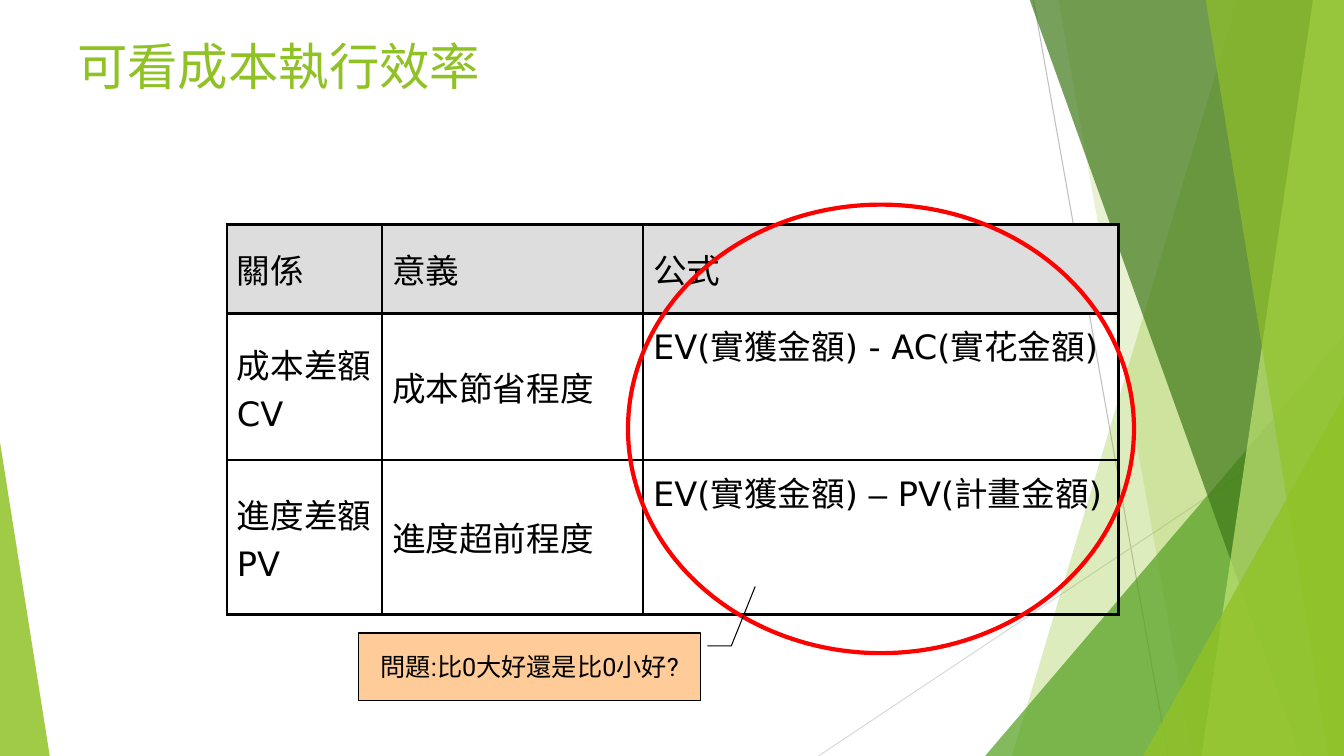
from lxml import etree
from pptx import Presentation, util as u
from pptx.dml.color import RGBColor
from pptx.enum import shapes, text
from pptx.oxml import parse_xml
from pptx.oxml.ns import nsdecls, qn

GREEN, BLACK = "90C226", "000000"
BODY, HEAD = "DejaVu Sans", "Roboto"


def rgb(value):
    return RGBColor.from_string(value)


def add_text(p, content, size=24, font=BODY, color=BLACK):
    r = p.add_run()
    r.text = content
    r.font.size, r.font.name = u.Pt(size), font
    r.font.color.rgb = rgb(color)


class Deck:
    """Holds the current slide and draws on it in percent of its size."""

    def __init__(self):
        self.prs = Presentation()
        self.prs.slide_width, self.prs.slide_height = u.Inches(13.333), u.Inches(7.5)
        self.s = self.prs.slides.add_slide(self.prs.slide_layouts[6])

    def x(self, share):
        return u.Emu(round(self.prs.slide_width * share / 100))

    def y(self, share):
        return u.Emu(round(self.prs.slide_height * share / 100))

    def box(self, left, top, width, height):
        return self.x(left), self.y(top), self.x(width), self.y(height)

    def paint(self, sp, fill=None, alpha=100, line=None, width=0.75):
        sp.shadow.inherit = False
        if fill:
            sp.fill.solid()
            sp.fill.fore_color.rgb = rgb(fill)
            if alpha < 100:
                color = sp.fill._xPr.find(".//" + qn("a:srgbClr"))
                etree.SubElement(color, qn("a:alpha")).set("val", str(alpha * 1000))
        else:
            sp.fill.background()
        if line:
            sp.line.color.rgb = rgb(line)
            sp.line.width = u.Pt(width)
        else:
            sp.line.fill.background()

    def shape(self, kind, place, adj=(), **style):
        sp = self.s.shapes.add_shape(kind, *self.box(*place))
        for i, value in enumerate(adj):
            sp.adjustments[i] = value
        self.paint(sp, **style)
        return sp

    def ribbon(self, top, bottom, fill, alpha):
        fb = self.s.shapes.build_freeform(self.x(top), self.y(-0.1))
        points = [(100, -0.1), (100, 100), (bottom, 100)]
        fb.add_line_segments([(self.x(a), self.y(b)) for a, b in points])
        self.paint(fb.convert_to_shape(), fill, alpha)

    def line(self, x1, y1, x2, y2, color):
        cx = self.s.shapes.add_connector(
            shapes.MSO_CONNECTOR.STRAIGHT, self.x(x1), self.y(y1), self.x(x2), self.y(y2))
        cx.line.color.rgb = rgb(color)
        cx.line.width = u.Pt(0.75)
        etree.SubElement(cx._element.spPr, qn("a:effectLst"))

    def title(self, content, place):
        tf = self.s.shapes.add_textbox(*self.box(*place)).text_frame
        tf.word_wrap = True
        add_text(tf.paragraphs[0], content, size=36, font=HEAD, color=GREEN)

    def cell(self, cell, paragraphs, fill=None, top=False):
        tcPr = cell._tc.get_or_add_tcPr()
        for side in ("lnL", "lnR", "lnT", "lnB"):
            tcPr.append(parse_xml(
                f'<a:{side} {nsdecls("a")} w="28575"><a:solidFill>'
                f'<a:srgbClr val="{BLACK}"/></a:solidFill></a:{side}>'))
        if fill:
            cell.fill.solid()
            cell.fill.fore_color.rgb = rgb(fill)
        else:
            cell.fill.background()
        cell.vertical_anchor = text.MSO_ANCHOR.TOP if top else text.MSO_ANCHOR.MIDDLE
        if top:
            cell.margin_top = self.y(1)
        for i, runs in enumerate(paragraphs):
            p = cell.text_frame.add_paragraph() if i else cell.text_frame.paragraphs[0]
            if i:
                p.space_before = u.Pt(4.8)
            for content, font in runs:
                add_text(p, content, font=font)

    def table(self, left, top, cols, rows, data):
        place = self.box(left, top, sum(cols), sum(rows))
        tbl = self.s.shapes.add_table(len(rows), len(cols), *place).table
        tbl.first_row = tbl.horz_banding = False
        for column, width in zip(tbl.columns, cols):
            column.width = self.x(width)
        for row, height in zip(tbl.rows, rows):
            row.height = self.y(height)
        for i, values in enumerate(data):
            for j, value in enumerate(values):
                paragraphs = value if isinstance(value, list) else [[(value, BODY)]]
                self.cell(tbl.cell(i, j), paragraphs,
                          fill=None if i else "DDDDDD", top=i > 0 and j == 2)

    def callout(self, content, place, adj):
        sp = self.shape(shapes.MSO_SHAPE.LINE_CALLOUT_2, place, adj,
                        fill="FFCC99", line=BLACK)
        tf = sp.text_frame
        tf.word_wrap, tf.vertical_anchor = True, text.MSO_ANCHOR.MIDDLE
        p = tf.paragraphs[0]
        p.alignment = text.PP_ALIGN.CENTER
        add_text(p, content, size=18, font=HEAD)


def main():
    d = Deck()
    triangle = shapes.MSO_SHAPE.ISOSCELES_TRIANGLE
    d.line(76.9, 0, 86.9, 100, "BFBFBF")
    d.line(100, 53.7, 60.9, 100, "D9D9D9")
    d.ribbon(92.1, 75.3, GREEN, 30)
    d.ribbon(78.75, 88.7, GREEN, 20)
    d.shape(triangle, (73.3, 44.4, 26.7, 55.6), [1], fill="54A021", alpha=72)
    d.ribbon(76.6, 96.8, "3F7819", 70)
    d.ribbon(97.7, 89.4, "C0E474", 70)
    d.ribbon(89.7, 98.85, GREEN, 65)
    d.shape(triangle, (85.05, 52.4, 14.95, 47.6), [1], fill=GREEN, alpha=80)
    d.shape(triangle, (0, 58.5, 3.7, 41.5), [0], fill=GREEN, alpha=85)

    d.title("可看成本執行效率", (5, 4, 90, 16.67))
    d.table(16.88, 29.73, (11.55, 19.42, 35.4), (11.73, 19.4, 20.4), [
        ["關係", "意義", "公式"],
        [[[("成本差額", BODY)], [("CV", BODY)]], "成本節省程度",
         "EV(實獲金額) - AC(實花金額)"],
        [[[("進度差額", BODY)], [("PV", BODY)]], "進度超前程度",
         [[("EV(實獲金額) ", BODY), ("–", "Arial"), (" PV(計畫金額)", BODY)]]],
    ])
    d.shape(shapes.MSO_SHAPE.OVAL, (46.73, 27.07, 37.65, 59.33), line="FF0000", width=3)
    d.callout("問題:比0大好還是比0小好?", (26.7, 83.73, 25.43, 8.93),
              (0.19, 1.02, 0.19, 1.09, -0.69, 1.16))
    d.prs.save("out.pptx")


if __name__ == "__main__":
    main()
